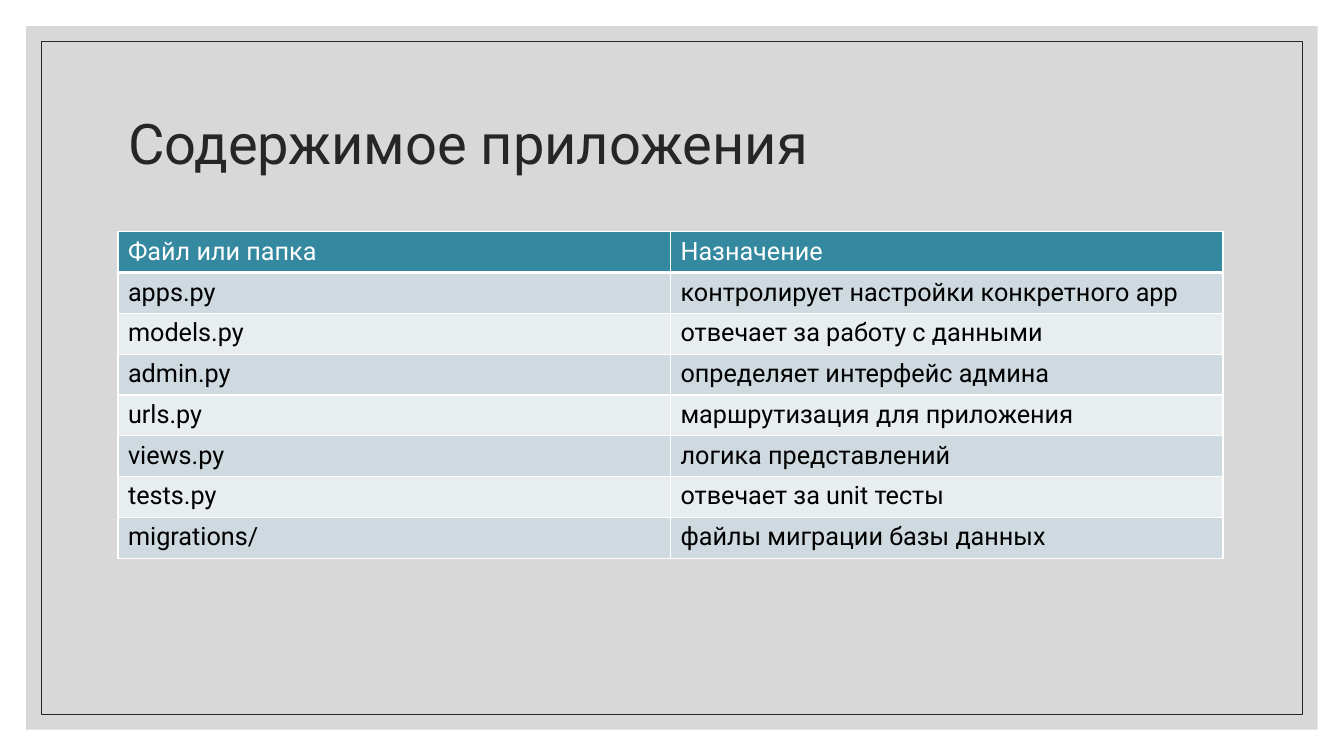
from dataclasses import dataclass

from pptx import Presentation
from pptx.dml.color import RGBColor
from pptx.enum.shapes import MSO_SHAPE as Preset
from pptx.enum.text import MSO_ANCHOR as Anchor, PP_ALIGN as Align
from pptx.oxml import parse_xml
from pptx.oxml.ns import nsdecls, qn
from pptx.util import Inches, Pt


@dataclass(frozen=True)
class Theme:
    """Colours, font and type sizes of the slide."""
    font: str = "Roboto"
    title_size: int = 40
    table_size: int = 18
    dark: str = "262626"
    panel: str = "BFBFBF"
    white: str = "FFFFFF"
    black: str = "000000"
    header: str = "3488A0"
    bands: tuple = ("CEDADF", "E8EDF0")


THEME = Theme()
TITLE = "Содержимое приложения"
FILES = [
    ("Файл или папка", "Назначение"),
    ("apps.py", "контролирует настройки конкретного app"),
    ("models.py", "отвечает за работу с данными"),
    ("admin.py", "определяет интерфейс админа"),
    ("urls.py", "маршрутизация для приложения"),
    ("views.py", "логика представлений"),
    ("tests.py", "отвечает за unit тесты"),
    ("migrations/", "файлы миграции базы данных"),
]


def write_text(text_frame, text, *, size, color, line_spacing=None):
    """Put one left-aligned, formatted paragraph in a text frame."""
    paragraph = text_frame.paragraphs[0]
    paragraph.alignment = Align.LEFT
    paragraph.line_spacing = line_spacing
    run = paragraph.add_run()
    run.text = text
    run.font.name = THEME.font
    run.font.size = Pt(size)
    run.font.bold = False
    run.font.color.rgb = RGBColor.from_string(color)


def add_inset_rectangle(slide, inset, *, fill=None, opacity=100, line=None):
    """Add a rectangle inset from the slide edges, behind the title."""
    width, height = Inches(13.33), Inches(7.5)
    margin = Inches(inset)
    shape = slide.shapes.add_shape(
        Preset.RECTANGLE, margin, margin, width - 2 * margin, height - 2 * margin)
    shape.shadow.inherit = False
    if fill:
        shape.fill.solid()
        shape.fill.fore_color.rgb = RGBColor.from_string(fill)
        color = shape.element.spPr.find(qn("a:solidFill"))[0]
        color.append(parse_xml(f'<a:alpha {nsdecls("a")} val="{opacity * 1000}"/>'))
    else:
        shape.fill.background()
    if line:
        shape.line.color.rgb = RGBColor.from_string(line)
        shape.line.width = Pt(0.5)
    else:
        shape.line.fill.background()
    slide.shapes.title.element.addprevious(shape.element)


def set_title(slide, text):
    """Place and fill the title placeholder."""
    title = slide.shapes.title
    title.left, title.top = Inches(1.17), Inches(0.7)
    title.width, title.height = Inches(11), Inches(1.5)
    title.text_frame.vertical_anchor = Anchor.MIDDLE
    write_text(title.text_frame, text, size=THEME.title_size,
               color=THEME.dark, line_spacing=0.9)


def set_borders(cell_element, bottom):
    """Draw white borders round a table cell; bottom is in points."""
    properties = cell_element.get_or_add_tcPr()
    widths = {"lnL": 1, "lnR": 1, "lnT": 1, "lnB": bottom}
    for position, (side, width) in enumerate(widths.items()):
        properties.insert(position, parse_xml(
            f'<a:{side} {nsdecls("a")} w="{Pt(width)}"><a:solidFill>'
            f'<a:srgbClr val="{THEME.white}"/></a:solidFill></a:{side}>'))


def add_file_table(slide, rows):
    """Add a table with a header row and banded body rows."""
    column_count = len(rows[0])
    frame = slide.shapes.add_table(
        len(rows), column_count, Inches(1.17), Inches(2.3),
        Inches(10.96), Inches(3.24))
    table = frame.table
    for row_index, row in enumerate(rows):
        is_header = row_index == 0
        fill = THEME.header if is_header else THEME.bands[(row_index - 1) % 2]
        for column_index, text in enumerate(row):
            cell = table.cell(row_index, column_index)
            cell.fill.solid()
            cell.fill.fore_color.rgb = RGBColor.from_string(fill)
            write_text(cell.text_frame, text, size=THEME.table_size,
                       color=THEME.white if is_header else THEME.black)
    for index, cell_element in enumerate(frame.element.iter(qn("a:tc"))):
        set_borders(cell_element, bottom=3 if index < column_count else 1)


def main():
    """Build the slide and save it."""
    presentation = Presentation()
    presentation.slide_width = Inches(13.33)
    presentation.slide_height = Inches(7.5)
    slide = presentation.slides.add_slide(presentation.slide_layouts[5])
    add_inset_rectangle(slide, 0.26, fill=THEME.panel, opacity=60)
    add_inset_rectangle(slide, 0.41, line=THEME.dark)
    set_title(slide, TITLE)
    add_file_table(slide, FILES)
    presentation.save("out.pptx")


main()
